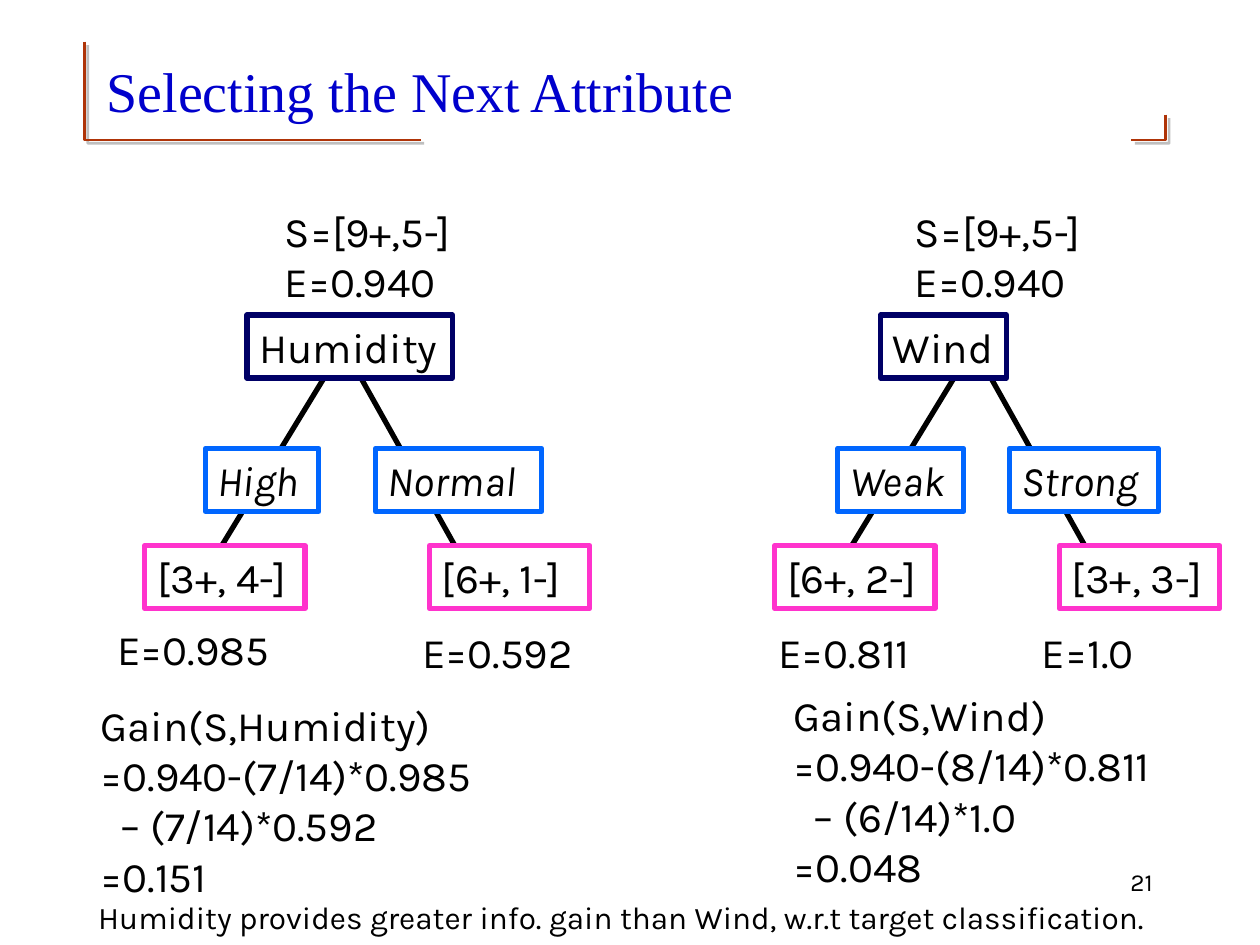
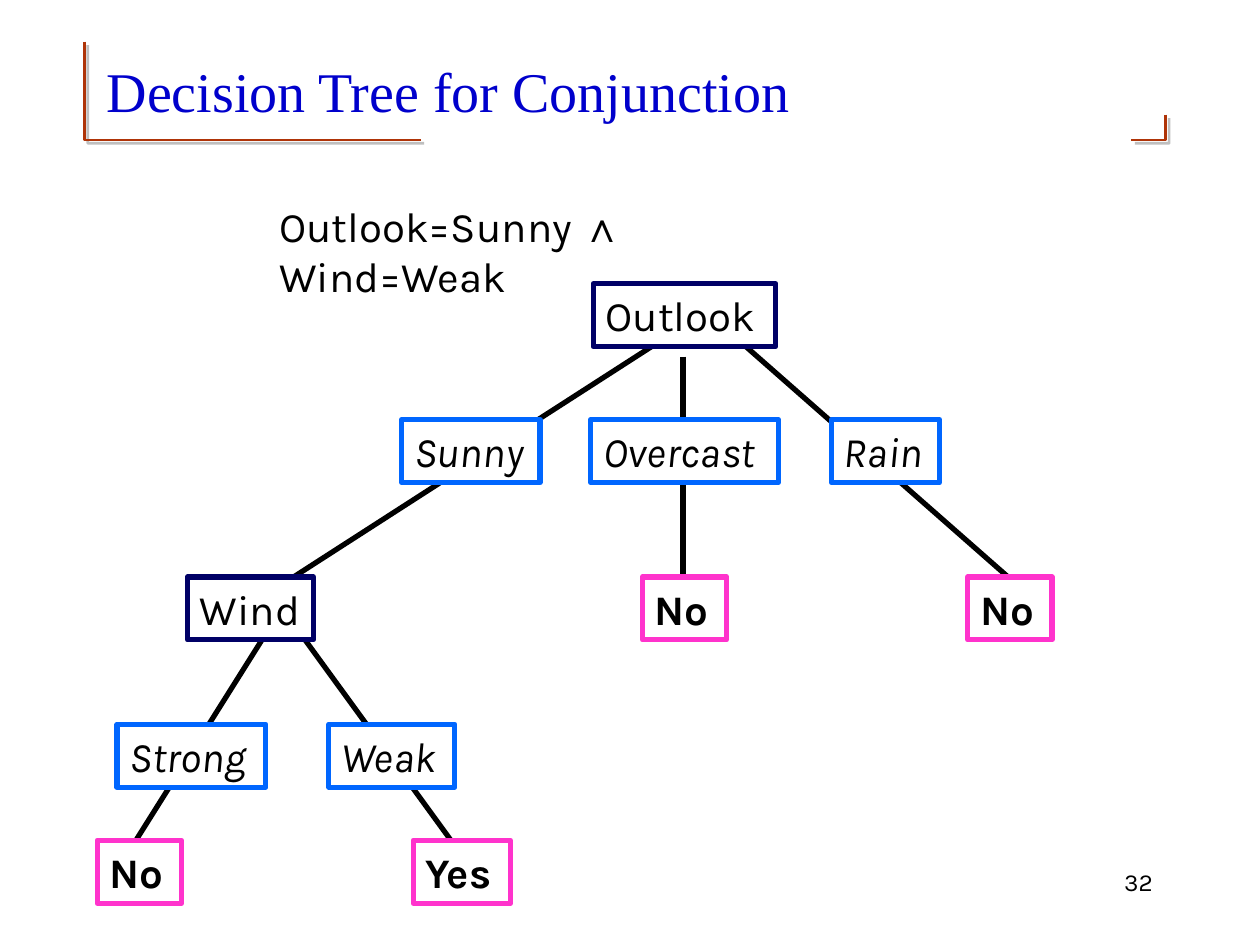
import dataclasses

import lxml.etree
import pptx
import pptx.dml.color
import pptx.enum.shapes
import pptx.enum.text
import pptx.oxml.ns
import pptx.util

Cm = pptx.util.Cm
Pt = pptx.util.Pt


@dataclasses.dataclass(frozen=True)
class Theme:
    body_font: str = "Karla"
    title_font: str = "Times New Roman"
    symbol_font: str = "Arial"
    title_size: int = 32
    body_size: int = 24
    note_size: int = 18
    number_size: int = 14
    text: str = "000000"
    title: str = "0000CC"
    corner: str = "AF3408"
    shadow: str = "808080"
    box: str = "FFFFFF"
    attribute: str = "000066"
    value: str = "0066FF"
    leaf: str = "FF33CC"
    corner_width: float = 1.5
    tree_width: float = 3


THEME = Theme()
NODE_HEIGHT = 1.27
COUNTS_WIDTH = 3.23
NODE_WIDTHS = {
    "Humidity": 4.14, "Outlook": 3.68, "Wind": 2.54,
    "High": 2.29, "Normal": 3.35, "Weak": 2.54, "Strong": 3,
    "Sunny": 2.79, "Overcast": 3.78, "Rain": 2.18,
    "No": 1.7, "Yes": 1.96,
}
TREE_STEP = 12.7


def rgb(value):
    return pptx.dml.color.RGBColor.from_string(value)


def add_run(p, text, size=THEME.body_size, font=THEME.body_font,
            color=THEME.text, bold=False, italic=False):
    r = p.add_run()
    r.text = text
    r.font.size = Pt(size)
    r.font.name = font
    r.font.color.rgb = rgb(color)
    r.font.bold = bold
    r.font.italic = italic


def add_text_frame(s, left, top, width, height):
    sp = s.shapes.add_textbox(Cm(left), Cm(top), Cm(width), Cm(height))
    tf = sp.text_frame
    tf.word_wrap = True
    return tf


def add_lines(s, lines, left, top, width, height, indented=(), **style):
    """Text box with one paragraph a line; indented holds line indices."""
    tf = add_text_frame(s, left, top, width, height)
    for i, line in enumerate(lines):
        p = tf.add_paragraph() if i else tf.paragraphs[0]
        if i in indented:
            p._p.get_or_add_pPr().set("marL", str(Cm(0.4)))
        add_run(p, line, **style)
    return tf


def add_effects(sp):
    return lxml.etree.SubElement(sp._element.spPr,
                                 pptx.oxml.ns.qn("a:effectLst"))


def add_corner(s, start, *points):
    """Open angle with a soft grey shadow."""
    builder = s.shapes.build_freeform(Cm(start[0]), Cm(start[1]), scale=1.0)
    builder.add_line_segments([(Cm(x), Cm(y)) for x, y in points], close=False)
    sp = builder.convert_to_shape()
    sp.fill.background()
    sp.line.color.rgb = rgb(THEME.corner)
    sp.line.width = Pt(THEME.corner_width)
    qn = pptx.oxml.ns.qn
    shadow = lxml.etree.SubElement(add_effects(sp), qn("a:outerShdw"),
                                   dist=str(Pt(2.8)), dir="2700000")
    color = lxml.etree.SubElement(shadow, qn("a:srgbClr"), val=THEME.shadow)
    lxml.etree.SubElement(color, qn("a:alpha"), val="50000")


def add_slide(prs, title, number):
    """Blank slide with the shared corners, title and page number."""
    s = prs.slides.add_slide(prs.slide_layouts[6])
    add_corner(s, (1.7, 0.84), (1.7, 2.82), (8.48, 2.82))
    add_corner(s, (23.5, 2.31), (23.5, 2.82), (22.81, 2.82))
    tf = add_lines(s, [title], 1.9, 0.64, 21.6, 2.34, size=THEME.title_size,
                   font=THEME.title_font, color=THEME.title)
    tf.vertical_anchor = pptx.enum.text.MSO_ANCHOR.MIDDLE
    tf = add_lines(s, [str(number)], 18.21, 17.35, 5.28, 1.27,
                   size=THEME.number_size)
    tf.paragraphs[0].alignment = pptx.enum.text.PP_ALIGN.RIGHT
    return s


def add_branch(s, x1, y1, x2, y2):
    line = s.shapes.add_connector(pptx.enum.shapes.MSO_CONNECTOR.STRAIGHT,
                                  Cm(x1), Cm(y1), Cm(x2), Cm(y2))
    line.line.color.rgb = rgb(THEME.text)
    line.line.width = Pt(THEME.tree_width)
    add_effects(line)


def add_node(s, label, left, top, color, **style):
    width = NODE_WIDTHS.get(label, COUNTS_WIDTH)
    sp = s.shapes.add_shape(pptx.enum.shapes.MSO_SHAPE.RECTANGLE,
                            Cm(left), Cm(top), Cm(width), Cm(NODE_HEIGHT))
    sp.shadow.inherit = False
    sp.fill.solid()
    sp.fill.fore_color.rgb = rgb(THEME.box)
    sp.line.color.rgb = rgb(color)
    sp.line.width = Pt(THEME.tree_width)
    tf = sp.text_frame
    tf.word_wrap = True
    tf.margin_right = 0
    tf.vertical_anchor = pptx.enum.text.MSO_ANCHOR.TOP
    p = tf.paragraphs[0]
    p.alignment = pptx.enum.text.PP_ALIGN.LEFT
    add_run(p, label, **style)


def add_attribute(s, label, left, top):
    add_node(s, label, left, top, THEME.attribute)


def add_value(s, label, left, top):
    add_node(s, label, left, top, THEME.value, italic=True)


def add_leaf(s, label, left, top, bold=False):
    add_node(s, label, left, top, THEME.leaf, bold=bold)


def add_split(s, dx, root, values, counts):
    """Two-way split moved right by dx; root and values are (label, left)."""
    add_branch(s, 6.55 + dx, 7.59, 4.47 + dx, 11)
    add_branch(s, 7.26 + dx, 7.59, 9.17 + dx, 11)
    add_attribute(s, *root, 6.35)
    for label, left in values:
        add_value(s, label, left, 9.04)
    for label, left in zip(counts, (2.92, 8.66)):
        add_leaf(s, label, left + dx, 11)
    add_lines(s, ["S=[9+,5-]", "E=0.940"], 5.49 + dx, 4.01, 3.96, 2.29)


def add_gain(s, lines, left, top):
    add_lines(s, lines, left, top, 8.56, 4.32, indented=(2,))


def build_attribute_choice(prs):
    s = add_slide(prs, "Selecting the Next Attribute", 21)
    add_split(s, 0, ("Humidity", 4.98), [("High", 4.14), ("Normal", 7.57)],
              ["[3+, 4-]", "[6+, 1-]"])
    add_split(s, TREE_STEP, ("Wind", 17.75),
              [("Weak", 16.89), ("Strong", 20.35)],
              ["[6+, 2-]", "[3+, 3-]"])
    for entropy, left, top in [("E=0.985", 2.11, 12.45), ("E=0.592", 8.26, 12.5),
                               ("E=0.811", 15.44, 12.5), ("E=1.0", 20.75, 12.5)]:
        add_lines(s, [entropy], left, top, 4, 1.27)
    add_gain(s, ["Gain(S,Humidity)", "=0.940-(7/14)*0.985",
                 "– (7/14)*0.592", "=0.151"], 1.78, 13.97)
    add_gain(s, ["Gain(S,Wind)", "=0.940-(8/14)*0.811",
                 "– (6/14)*1.0", "=0.048"], 15.75, 13.77)
    add_lines(s, ["Humidity provides greater info. gain than Wind, "
                  "w.r.t target classification."],
              1.73, 17.98, 22.35, 1.02, size=THEME.note_size)


def build_conjunction_tree(prs):
    s = add_slide(prs, "Decision Tree for Conjunction", 32)
    root, outlooks, middle, winds, bottom = 5.72, 8.46, 11.63, 14.6, 16.94
    for branch in [(13.13, root + NODE_HEIGHT, 5.92, middle),
                   (15.04, root + NODE_HEIGHT, 20.32, middle),
                   (13.77, 7.19, 13.77, middle),
                   (5.28, middle + NODE_HEIGHT, 2.74, bottom),
                   (6.15, middle + NODE_HEIGHT, 9.09, bottom)]:
        add_branch(s, *branch)
    add_attribute(s, "Outlook", 11.96, root)
    add_attribute(s, "Wind", 3.78, middle)
    for label, left, top in [("Sunny", 8.1, outlooks),
                             ("Overcast", 11.91, outlooks),
                             ("Rain", 16.76, outlooks),
                             ("Strong", 2.36, winds), ("Weak", 6.63, winds)]:
        add_value(s, label, left, top)
    for label, left, top in [("No", 12.95, middle), ("No", 19.51, middle),
                             ("No", 1.96, bottom), ("Yes", 8.33, bottom)]:
        add_leaf(s, label, left, top, bold=True)
    p = add_text_frame(s, 5.38, 3.91, 10, 2.29).paragraphs[0]
    add_run(p, "Outlook=Sunny ")
    add_run(p, "∧", font=THEME.symbol_font)
    add_run(p, " Wind=Weak")


def main():
    prs = pptx.Presentation()
    prs.slide_width = Cm(25.4)
    prs.slide_height = Cm(19.05)
    build_attribute_choice(prs)
    build_conjunction_tree(prs)
    prs.save("out.pptx")


if __name__ == "__main__":
    main()
